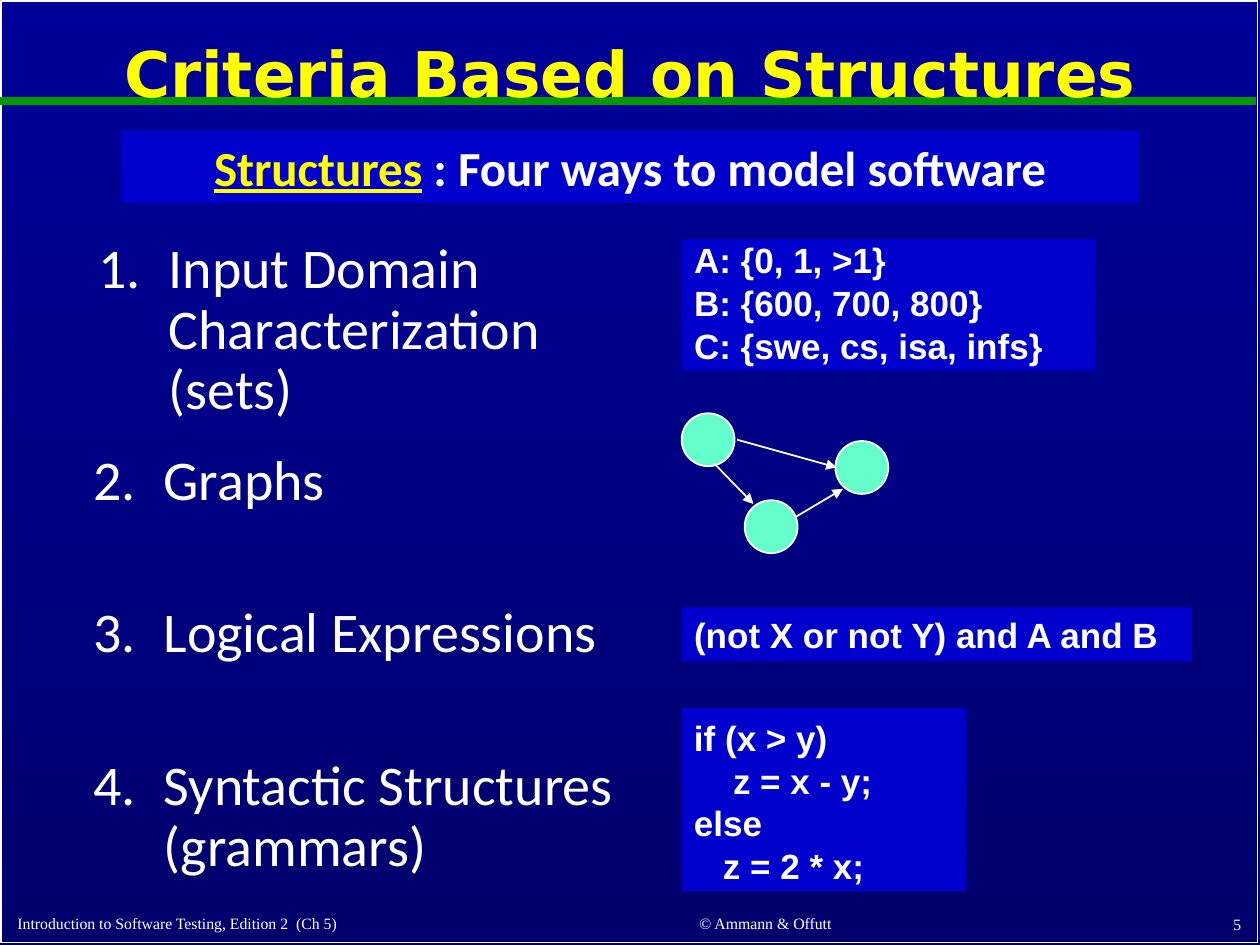
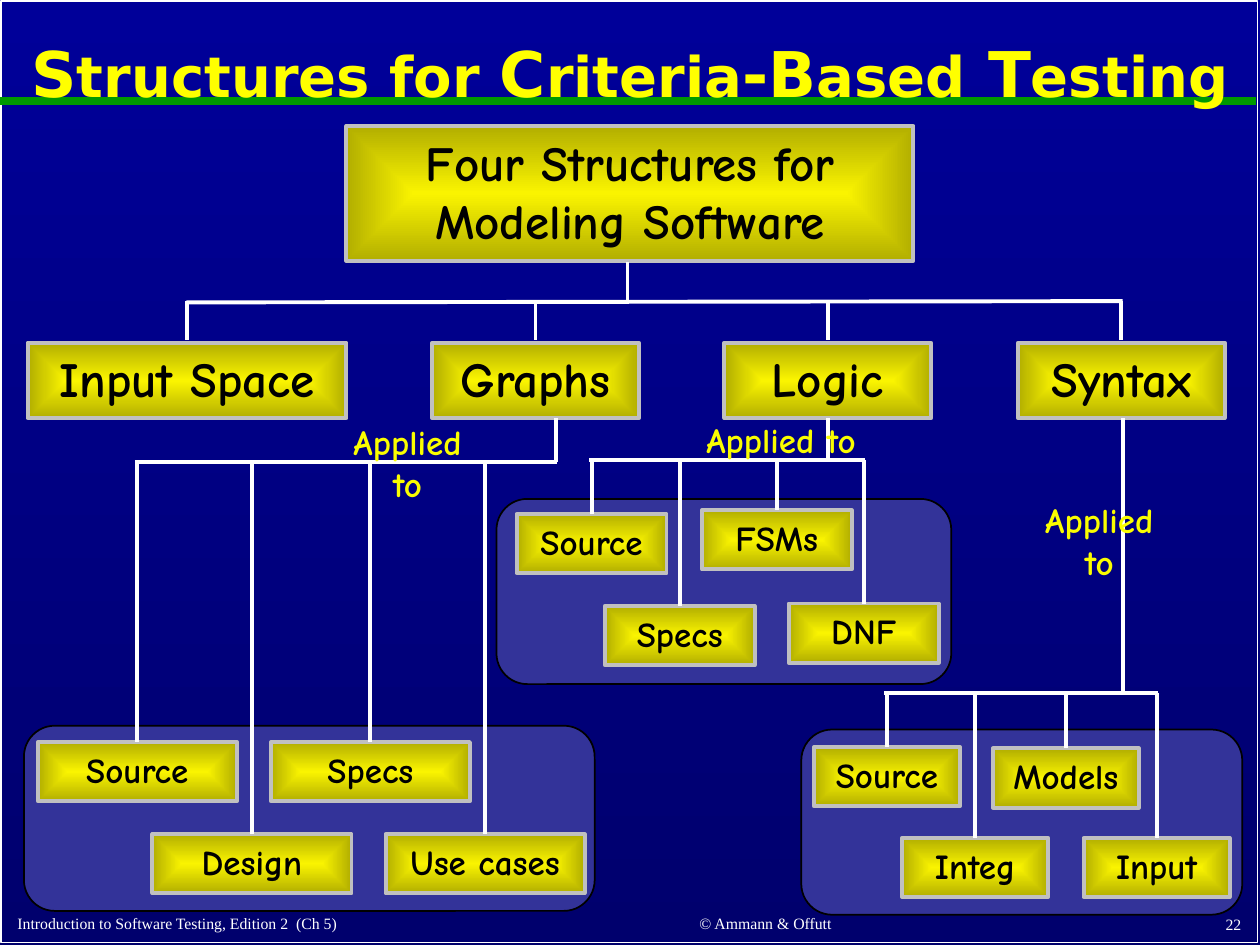
from dataclasses import dataclass, replace
from typing import NamedTuple

from lxml.etree import SubElement
from pptx import Presentation
from pptx.dml.color import RGBColor
from pptx.enum.shapes import MSO_CONNECTOR, MSO_SHAPE
from pptx.enum.text import MSO_ANCHOR, MSO_AUTO_SIZE, PP_ALIGN
from pptx.oxml.ns import qn
from pptx.util import Inches, Pt


@dataclass(frozen=True)
class Type:
    name: str
    size: float
    color: str = "FFFFFF"
    bold: bool = False
    under: bool = False


@dataclass(frozen=True)
class Theme:
    back: str = "000099"
    white: str = "FFFFFF"
    black: str = "000000"
    rule: str = "009900"
    block: str = "0000CC"
    node: str = "66FFCC"
    gold: str = "FAF400"
    edge: str = "C0C0C0"
    panel: str = "333399"
    thin: float = 1
    thick: float = 2.25
    heavy: float = 4.5
    title: Type = Type("DejaVu Sans", 36, "FFFF00", True)
    small: Type = Type("DejaVu Sans", 32, "FFFF00", True)
    foot: Type = Type("Times New Roman", 9)
    lead: Type = Type("Calibri", 28, bold=True)
    item: Type = Type("Calibri", 32)
    code: Type = Type("Arial", 20, bold=True)
    head: Type = Type("Comic Neue", 28, "000000", True)
    leaf: Type = Type("Comic Neue", 20, "000000", True)
    note: Type = Type("Comic Neue", 20, "FAFD00", True)


LOOK = Theme()


class Area(NamedTuple):
    x: float
    y: float
    w: float
    h: float


class Run(NamedTuple):
    text: str
    font: Type


class Para(NamedTuple):
    runs: list[Run]
    align: PP_ALIGN = PP_ALIGN.LEFT
    pitch: float | None = None
    before: int = 0
    number: int = 0
    indent: float = 0


class Item(NamedTuple):
    area: Area
    text: str


class Code(NamedTuple):
    area: Area
    lines: list[tuple[str, float]]


class Leaf(NamedTuple):
    text: str
    x: float
    y: float


class Branch(NamedTuple):
    panel: Area
    width: float
    leaves: list[Leaf]
    bar: float
    stem: float
    note: Area


def tone(text: str) -> RGBColor:
    return RGBColor.from_string(text)


def fade(fill, root, base: str, inner: bool) -> None:
    """Fade from base to a dark shade, outward from the centre or downward."""
    fill.gradient()
    for stop in fill.gradient_stops:
        stop.color.rgb = tone(base)
    grad = next(root.iter(qn("a:gradFill")))
    shade = list(grad.iter(qn("a:srgbClr")))[-1]
    SubElement(shade, qn("a:shade"), val="46275")
    grad.remove(grad.find(qn("a:lin")))
    if inner:
        track = SubElement(grad, qn("a:path"), path="shape")
        SubElement(track, qn("a:fillToRect"), {side: "50000" for side in "ltrb"})
    else:
        SubElement(grad, qn("a:lin"), ang="5400000", scaled="1")


def write(shape, paras: list[Para], anchor=MSO_ANCHOR.TOP, grow: bool = False) -> None:
    frame = shape.text_frame
    frame.word_wrap = True
    frame.vertical_anchor = anchor
    frame.auto_size = MSO_AUTO_SIZE.SHAPE_TO_FIT_TEXT if grow else MSO_AUTO_SIZE.NONE
    for i, para in enumerate(paras):
        line = frame.add_paragraph() if i else frame.paragraphs[0]
        line.alignment = para.align
        if para.pitch:
            line.line_spacing = para.pitch
        props = line._p.get_or_add_pPr()
        if para.before:
            gap = SubElement(props, qn("a:spcBef"))
            SubElement(gap, qn("a:spcPct"), val=str(para.before * 1000))
        if para.indent:
            props.set("marL", str(Inches(para.indent)))
        if para.number:
            props.set("indent", str(-Inches(para.indent)))
            color = SubElement(props, qn("a:buClr"))
            SubElement(color, qn("a:srgbClr"), val=LOOK.white)
            SubElement(props, qn("a:buAutoNum"), type="arabicPeriod",
                       startAt=str(para.number))
        for part in para.runs:
            run = line.add_run()
            run.text = part.text
            font = run.font
            font.name, font.size = part.font.name, Pt(part.font.size)
            font.bold, font.underline = part.font.bold, part.font.under
            font.color.rgb = tone(part.font.color)


def draw(slide, kind, area: Area, fill: str = "", line: str = "", width: float = LOOK.thin):
    shape = slide.shapes.add_shape(kind, *map(Inches, area))
    shape.shadow.inherit = False
    if fill == LOOK.gold:
        fade(shape.fill, shape.element, fill, True)
    elif fill:
        shape.fill.solid()
        shape.fill.fore_color.rgb = tone(fill)
    else:
        shape.fill.background()
    if line:
        shape.line.color.rgb = tone(line)
        shape.line.width = Pt(width)
    else:
        shape.line.fill.background()
    return shape


def link(slide, x1: float, y1: float, x2: float, y2: float, color: str = LOOK.white,
         width: float = LOOK.thick, arrow: bool = False):
    ends = map(Inches, (x1, y1, x2, y2))
    line = slide.shapes.add_connector(MSO_CONNECTOR.STRAIGHT, *ends)
    line.line.color.rgb = tone(color)
    line.line.width = Pt(width)
    props = line.element.spPr
    SubElement(props, qn("a:effectLst"))
    if arrow:
        SubElement(props.find(qn("a:ln")), qn("a:tailEnd"), type="triangle")
    return line


def label(slide, area: Area, para: Para, anchor=MSO_ANCHOR.TOP, grow: bool = False) -> None:
    box = slide.shapes.add_textbox(*map(Inches, area))
    write(box, [para], anchor, grow)


def plaque(slide, area: Area, text: str, font: Type) -> None:
    """Draw a gold box with centred text."""
    box = draw(slide, MSO_SHAPE.RECTANGLE, area, LOOK.gold, LOOK.edge, LOOK.thick)
    write(box, [Para([Run(text, font)], PP_ALIGN.CENTER, before=50)], grow=True)


def dress(slide, layout) -> None:
    """Give the layout its background, frame and rule, drawn first on a slide."""
    fade(layout.background.fill, layout.element, LOOK.back, False)
    frame = draw(slide, MSO_SHAPE.RECTANGLE, Area(0.01, 0.01, 9.97, 7.47), line=LOOK.white)
    rule = link(slide, 0, 0.8, 9.97, 0.8, LOOK.rule, LOOK.heavy)
    for part in (frame, rule):
        layout.shapes.element.append(part.element)


def start(deck, layout, title: list[Run], page: int):
    slide = deck.slides.add_slide(layout)
    head = slide.shapes.title
    head.left, head.top, head.width, head.height = map(Inches, (0.05, 0.11, 9.9, 1))
    write(head, [Para(title, PP_ALIGN.CENTER, 0.9)], MSO_ANCHOR.MIDDLE)
    feet = [
        (Area(0.04, 7.18, 4.2, 0.27), "Introduction to Software Testing, Edition 2  (Ch 5)",
         PP_ALIGN.LEFT),
        (Area(4.49, 7.17, 3.17, 0.28), "© Ammann & Offutt", PP_ALIGN.CENTER),
        (Area(7.87, 7.17, 2.08, 0.29), str(page), PP_ALIGN.RIGHT),
    ]
    for area, text, align in feet:
        label(slide, area, Para([Run(text, LOOK.foot)], align), MSO_ANCHOR.BOTTOM)
    return slide


ITEMS = [
    Item(Area(0.68, 1.9, 4.39, 1.46), "Input Domain Characterization (sets)"),
    Item(Area(0.64, 3.51, 4.39, 0.64), "Graphs"),
    Item(Area(0.64, 4.63, 4.39, 0.81), "Logical Expressions"),
    Item(Area(0.64, 5.91, 4.39, 1.16), "Syntactic Structures (grammars)"),
]
CODES = [
    Code(Area(5.41, 1.9, 3.28, 1.04),
         [("A: {0, 1, >1}", 0), ("B: {600, 700, 800}", 0), ("C: {swe, cs, isa, infs}", 0)]),
    Code(Area(5.41, 4.82, 4.05, 0.43), [("(not X or not Y) and A and B", 0)]),
    Code(Area(5.41, 5.62, 2.26, 1.45),
         [("if (x > y)", 0), ("z = x - y;", 0.31), ("else", 0), ("z = 2 * x;", 0.23)]),
]
NODES = [(5.41, 3.28), (6.63, 3.5), (5.91, 3.97)]
ARROWS = [(5.85, 3.49, 6.64, 3.71), (5.67, 3.68, 5.98, 4), (6.32, 4.1, 6.69, 3.88)]


def ways(slide) -> None:
    banner = draw(slide, MSO_SHAPE.RECTANGLE, Area(0.96, 1.04, 8.08, 0.57), LOOK.block)
    key = replace(LOOK.lead, color=LOOK.title.color, under=True)
    runs = [Run("Structures", key), Run(" : Four ways to model software", LOOK.lead)]
    write(banner, [Para(runs, PP_ALIGN.CENTER, before=50)], grow=True)
    for i, item in enumerate(ITEMS, 1):
        para = Para([Run(item.text, LOOK.item)], pitch=0.9, before=30, number=i, indent=0.56)
        label(slide, item.area, para, MSO_ANCHOR.MIDDLE)
    for code in CODES:
        many = len(code.lines) > 1
        paras = [Para([Run(text, LOOK.code)], pitch=0.6 if many else None, before=50,
                      indent=indent) for text, indent in code.lines]
        box = draw(slide, MSO_SHAPE.RECTANGLE, code.area, LOOK.block)
        write(box, paras, MSO_ANCHOR.BOTTOM if many else MSO_ANCHOR.TOP, True)
    for x, y in NODES:
        draw(slide, MSO_SHAPE.OVAL, Area(x, y, 0.42, 0.42), LOOK.node, LOOK.white)
    for ends in ARROWS:
        link(slide, *ends, width=LOOK.thin, arrow=True)


HEADS = [("Input Space", 0.22, 2.53), ("Graphs", 3.43, 1.64),
         ("Logic", 5.75, 1.64), ("Syntax", 8.08, 1.64)]
BRANCHES = [
    Branch(Area(6.36, 5.79, 3.5, 1.47), 1.16,
           [Leaf("Source", 6.46, 5.93), Leaf("Integ", 7.16, 6.65),
            Leaf("Models", 7.88, 5.94), Leaf("Input", 8.6, 6.65)],
           5.5, 8.91, Area(8.11, 3.91, 1.23, 0.77)),
    Branch(Area(3.94, 3.96, 3.61, 1.47), 1.19,
           [Leaf("Source", 4.1, 4.08), Leaf("Specs", 4.8, 4.81),
            Leaf("FSMs", 5.57, 4.05), Leaf("DNF", 6.26, 4.79)],
           3.65, 6.57, Area(5.33, 3.27, 1.74, 0.43)),
    Branch(Area(0.19, 5.76, 4.53, 1.47), 1.58,
           [Leaf("Source", 0.3, 5.89), Leaf("Design", 1.21, 6.62),
            Leaf("Specs", 2.15, 5.89), Leaf("Use cases", 3.06, 6.62)],
           3.67, 4.41, Area(2.62, 3.29, 1.23, 0.77)),
]


def grow(slide, branch: Branch) -> None:
    """Draw the panel, leaves, lines and note below one heading."""
    draw(slide, MSO_SHAPE.ROUNDED_RECTANGLE, branch.panel, LOOK.panel, LOOK.black)
    mids = [leaf.x + branch.width / 2 for leaf in branch.leaves]
    for leaf, mid in zip(branch.leaves, mids):
        plaque(slide, Area(leaf.x, leaf.y, branch.width, 0.47), leaf.text, LOOK.leaf)
        link(slide, mid, branch.bar, mid, leaf.y)
    right = max(mids[-1], branch.stem)
    link(slide, mids[0] - 0.02, branch.bar, right + 0.01, branch.bar)
    link(slide, branch.stem, 3.32, branch.stem, branch.bar)
    note = Para([Run("Applied to", LOOK.note)], PP_ALIGN.CENTER, before=50)
    label(slide, branch.note, note, grow=True)


def tree(slide) -> None:
    plaque(slide, Area(2.75, 1, 4.5, 1.07), "Four Structures for Modeling Software", LOOK.head)
    for text, x, width in HEADS:
        plaque(slide, Area(x, 2.72, width, 0.6), text, LOOK.head)
        link(slide, x + width / 2, 2.39, x + width / 2, 2.7)
    link(slide, 1.48, 2.4, 8.91, 2.39)
    link(slide, 4.98, 2.08, 4.98, 2.39)
    for branch in BRANCHES:
        grow(slide, branch)


def main() -> None:
    deck = Presentation()
    deck.slide_width, deck.slide_height = Inches(10), Inches(7.5)
    layout = deck.slide_layouts[5]
    first = start(deck, layout, [Run("Criteria Based on Structures", LOOK.title)], 5)
    dress(first, layout)
    ways(first)
    words = ["S", "tructures for ", "C", "riteria", "-B", "ased", " T", "esting"]
    title = [Run(word, LOOK.small if i % 2 else LOOK.title) for i, word in enumerate(words)]
    tree(start(deck, layout, title, 22))
    deck.save("out.pptx")


if __name__ == "__main__":
    main()
